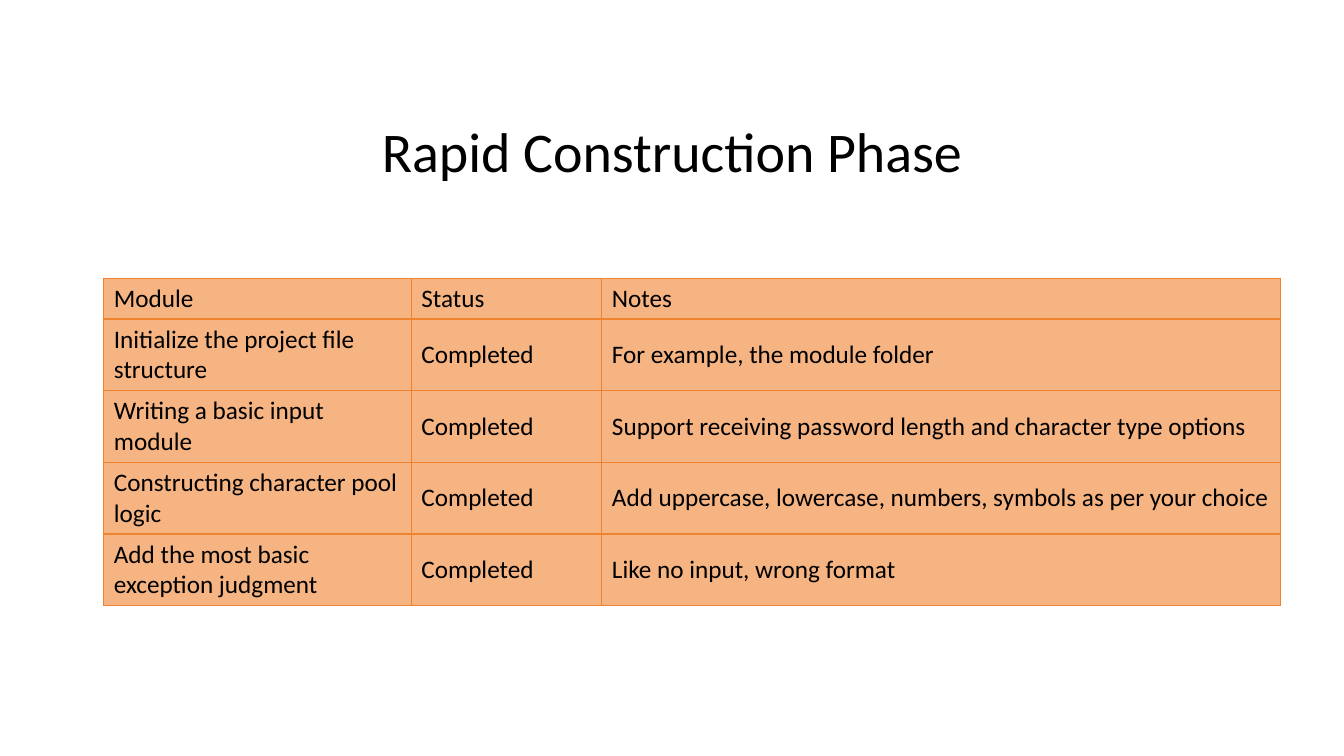
"""Build the Rapid Construction Phase status slide."""
from dataclasses import dataclass

from lxml.etree import SubElement
from pptx import Presentation
from pptx.dml.color import RGBColor as Rgb
from pptx.enum.text import MSO_ANCHOR as Anchor, PP_ALIGN as Align
from pptx.oxml.ns import qn
from pptx.util import Inches, Pt


@dataclass(frozen=True)
class Theme:
    font: str = "Calibri"
    ink: str = "000000"
    background: str = "FFFFFF"
    cell_fill: str = "F6B483"
    border: str = "EE822F"
    border_width: float = 1
    title_size: float = 40
    body_size: float = 18


class SlideBuilder:
    def __init__(self, slide, theme):
        self.slide = slide
        self.theme = theme
        slide.background.fill.solid()
        slide.background.fill.fore_color.rgb = Rgb.from_string(theme.background)

    def style(self, paragraph, size):
        for run in paragraph.runs:
            run.font.name = self.theme.font
            run.font.size = Pt(size)
            run.font.color.rgb = Rgb.from_string(self.theme.ink)

    def title(self, text, left, top, width, height):
        heading = self.slide.shapes.title
        heading.left, heading.top = Inches(left), Inches(top)
        heading.width, heading.height = Inches(width), Inches(height)
        frame = heading.text_frame
        frame.text = text
        frame.word_wrap = True
        frame.vertical_anchor = Anchor.TOP
        frame.paragraphs[0].alignment = Align.CENTER
        self.style(frame.paragraphs[0], self.theme.title_size)

    def table(self, rows, left, top, widths, heights):
        grid = self.slide.shapes.add_table(
            len(rows), len(widths), Inches(left), Inches(top),
            Inches(sum(widths)), Inches(sum(heights))).table
        grid.horz_banding = False
        for column, width in zip(grid.columns, widths):
            column.width = Inches(width)
        for row, height, texts in zip(grid.rows, heights, rows):
            row.height = Inches(height)
            for cell, text in zip(row.cells, texts):
                self.cell(cell, text)

    def cell(self, cell, text):
        cell.text_frame.text = text
        cell.vertical_anchor = Anchor.MIDDLE
        paragraph = cell.text_frame.paragraphs[0]
        self.style(paragraph, self.theme.body_size)
        for run in paragraph.runs:
            run.font.bold = False
        properties = cell._tc.get_or_add_tcPr()
        for side in ("a:lnL", "a:lnR", "a:lnT", "a:lnB"):
            line = SubElement(properties, qn(side), w=str(Pt(self.theme.border_width)))
            fill = SubElement(line, qn("a:solidFill"))
            SubElement(fill, qn("a:srgbClr"), val=self.theme.border)
        cell.fill.solid()
        cell.fill.fore_color.rgb = Rgb.from_string(self.theme.cell_fill)


def main():
    deck = Presentation()
    deck.slide_width, deck.slide_height = Inches(13.33), Inches(7.5)
    title_only = deck.slide_layouts.get_by_name("Title Only")
    builder = SlideBuilder(deck.slides.add_slide(title_only), Theme())
    builder.title("Rapid Construction Phase", 3.33, 1.11, 6.67, 0.77)

    modules = [
        ("Initialize the project file structure", "For example, the module folder"),
        ("Writing a basic input module",
         "Support receiving password length and character type options"),
        ("Constructing character pool logic",
         "Add uppercase, lowercase, numbers, symbols as per your choice"),
        ("Add the most basic exception judgment", "Like no input, wrong format"),
    ]
    rows = [("Module", "Status", "Notes")]
    rows += [(module, "Completed", notes) for module, notes in modules]
    builder.table(rows, 1.03, 2.76, widths=[3.05, 1.89, 6.73],
                  heights=[0.4] + [0.7] * len(modules))
    deck.save("out.pptx")


if __name__ == "__main__":
    main()
